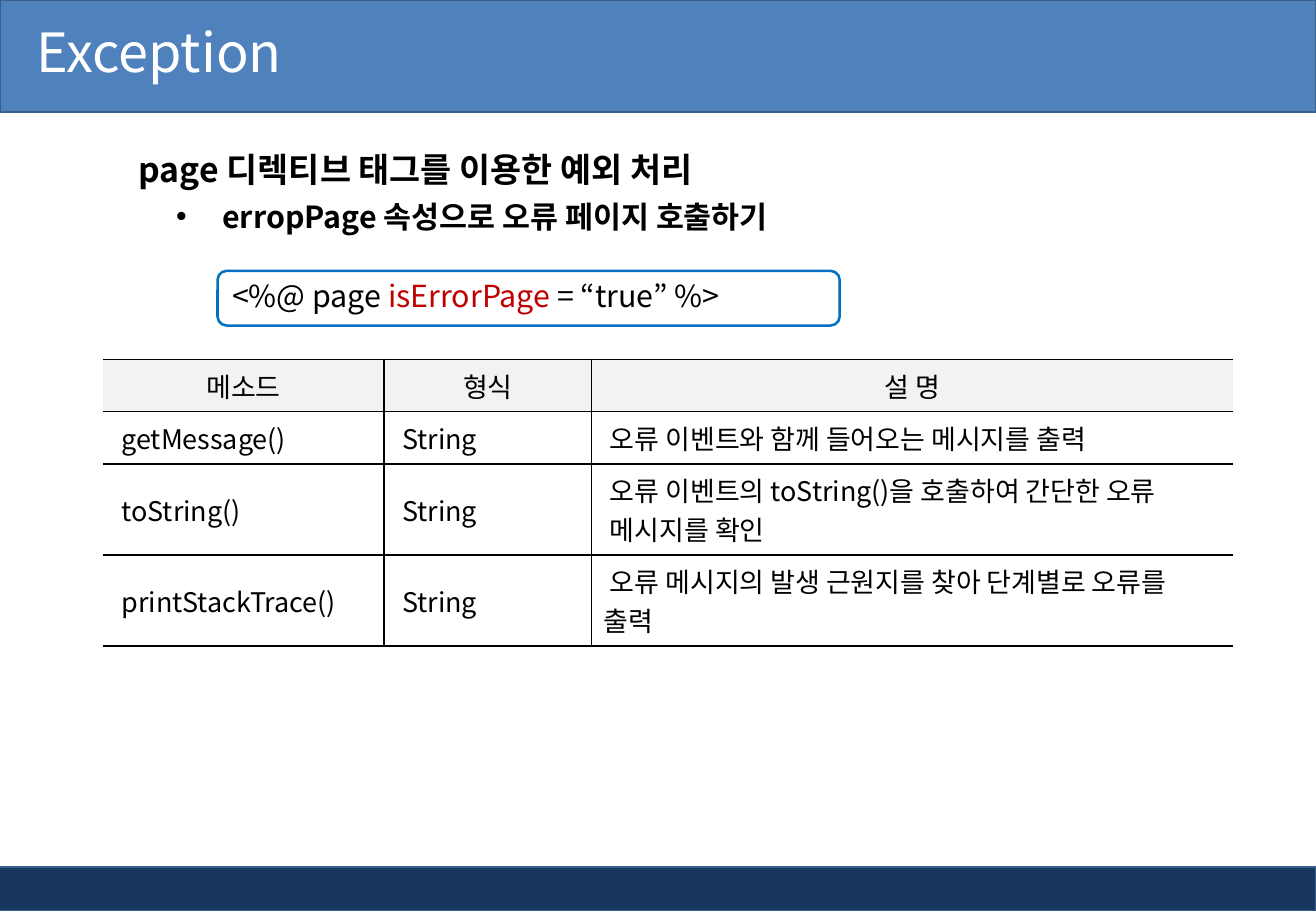
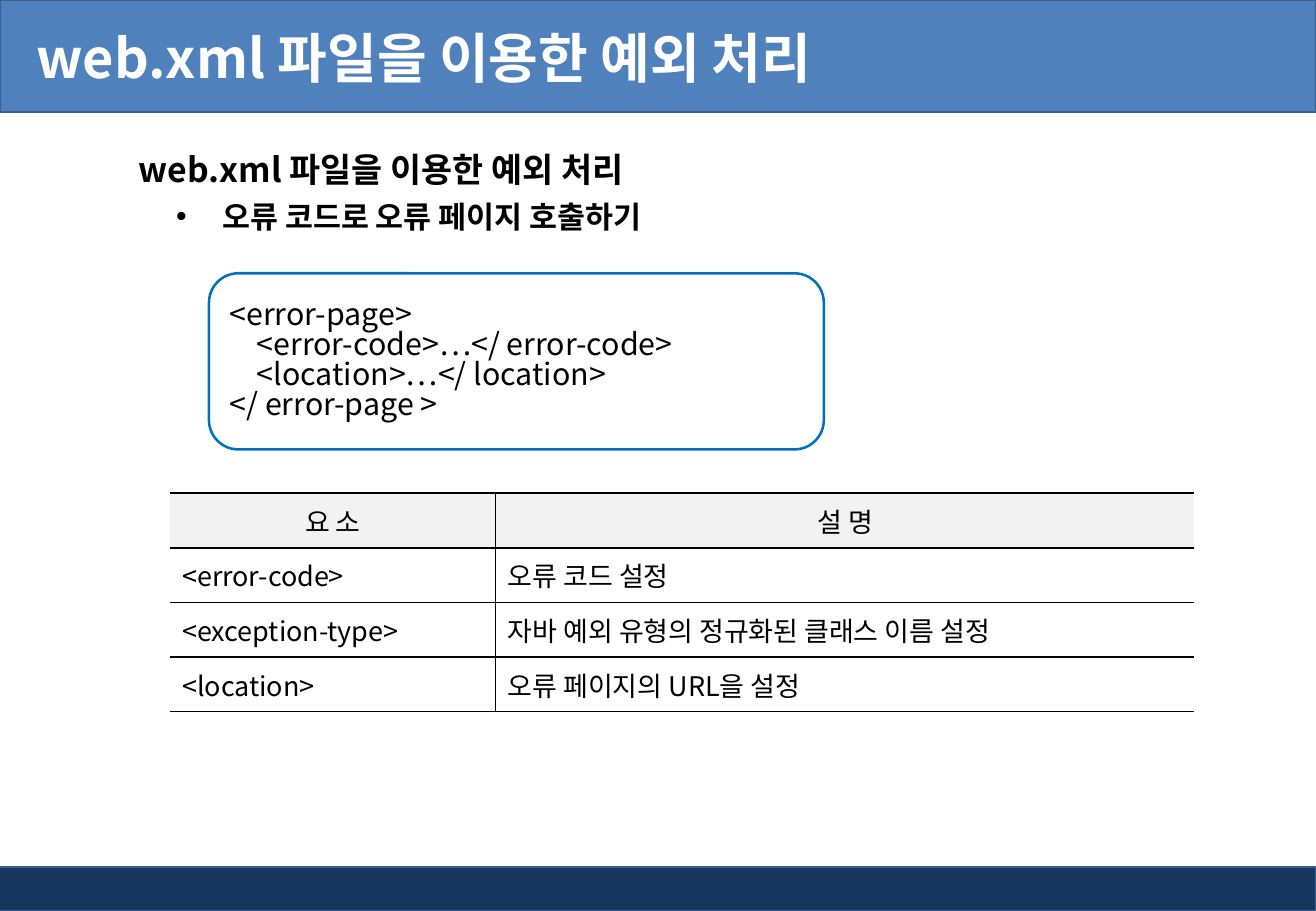
from dataclasses import dataclass
from typing import Optional

from lxml.etree import SubElement
from pptx import Presentation
from pptx.dml.color import RGBColor as Rgb
from pptx.enum.shapes import MSO_SHAPE as Preset
from pptx.enum.text import MSO_ANCHOR as Anchor, MSO_AUTO_SIZE as AutoSize, PP_ALIGN as Align
from pptx.oxml import parse_xml
from pptx.oxml.ns import nsdecls, qn
from pptx.util import Inches, Pt

WIDTH, HEIGHT = 10.83, 7.5


@dataclass(frozen=True)
class Theme:
    font: str = "Noto Sans CJK KR"
    ink: str = "000000"
    paper: str = "FFFFFF"
    accent: str = "C00000"
    header_band: str = "4F81BD"
    footer_band: str = "17375E"
    band_edge: str = "3A5F8C"
    code_edge: str = "0070C0"
    table_head: str = "F2F2F2"
    title_size: int = 32
    topic_size: int = 20
    point_size: int = 18
    cell_size: int = 16


THEME = Theme()


@dataclass(frozen=True)
class Box:
    left: float
    top: float
    width: float
    height: float

    def emu(self) -> tuple:
        return tuple(Inches(v) for v in (self.left, self.top, self.width, self.height))


@dataclass(frozen=True)
class Span:
    text: str
    color: str = THEME.ink


@dataclass(frozen=True)
class Grid:
    left: float
    top: float
    columns: tuple
    row_heights: tuple
    rows: tuple
    first_indent: float = 0


@dataclass(frozen=True)
class Lesson:
    title: str
    title_top: float
    title_bold: bool
    topic: str
    point: str
    code_box: Box
    code: tuple  # one tuple of spans for each line
    grid: Grid


LESSONS = (
    Lesson(
        title="Exception", title_top=-0.05, title_bold=False,
        topic="page 디렉티브 태그를 이용한 예외 처리",
        point="erropPage 속성으로 오류 페이지 호출하기",
        code_box=Box(1.79, 2.23, 5.12, 0.45),
        code=((Span("<%@ page "), Span("isErrorPage ", THEME.accent), Span("= “true” %>")),),
        grid=Grid(0.85, 2.96, (2.31, 1.71, 5.28), (0.43, 0.43, 0.75, 0.75), (
            ("메소드", "형식", "설 명"),
            ("getMessage()", "String", "오류 이벤트와 함께 들어오는 메시지를 출력"),
            ("toString()", "String",
             "오류 이벤트의 toString()을 호출하여 간단한 오류\n메시지를 확인"),
            ("printStackTrace()", "String",
             "오류 메시지의 발생 근원지를 찾아 단계별로 오류를 출력"),
        ), first_indent=0.05),
    ),
    Lesson(
        title="web.xml 파일을 이용한 예외 처리", title_top=0, title_bold=True,
        topic="web.xml 파일을 이용한 예외 처리",
        point="오류 코드로 오류 페이지 호출하기",
        code_box=Box(1.72, 2.25, 5.06, 1.45),
        code=((Span("<error-page>"),),
              (Span("    <error-code>…</ error-code>"),),
              (Span("    <location>…</ location>"),),
              (Span("</ error-page >"),)),
        grid=Grid(1.4, 4.06, (2.68, 5.75), (0.45,) * 4, (
            ("요 소", "설 명"),
            ("<error-code>", "오류 코드 설정"),
            ("<exception-type>", "자바 예외 유형의 정규화된 클래스 이름 설정"),
            ("<location>", "오류 페이지의 URL을 설정"),
        )),
    ),
)


def write(paragraph, *spans: Span, size: int, bold: bool = False, align=Align.LEFT,
          spacing: float = 1.0, margin: float = 0, indent: float = 0,
          bullet: Optional[str] = None) -> None:
    """Fill one paragraph with formatted runs."""
    props = paragraph._p.get_or_add_pPr()
    props.set("marL", str(Inches(margin)))
    props.set("indent", str(Inches(indent)))
    if bullet:
        SubElement(props, qn("a:buChar")).set("char", bullet)
    else:
        SubElement(props, qn("a:buNone"))
    paragraph.alignment = align
    paragraph.line_spacing = spacing
    paragraph.space_before = Pt(0)
    for span in spans:
        run = paragraph.add_run()
        run.text = span.text
        run.font.size = Pt(size)
        run.font.bold = bold
        run.font.name = THEME.font
        run.font.color.rgb = Rgb.from_string(span.color)
        SubElement(run._r.get_or_add_rPr(), qn("a:ea")).set("typeface", THEME.font)


def paragraphs(frame, count: int) -> list:
    return [frame.paragraphs[0]] + [frame.add_paragraph() for _ in range(count - 1)]


def add_panel(slide, preset, box: Box, fill: str, edge: str, weight: float):
    panel = slide.shapes.add_shape(preset, *box.emu())
    panel.shadow.inherit = False
    panel.fill.solid()
    panel.fill.fore_color.rgb = Rgb.from_string(fill)
    panel.line.color.rgb = Rgb.from_string(edge)
    panel.line.width = Pt(weight)
    return panel


def add_bands(slide) -> None:
    """Place the header and footer bands on the layout shared by all slides."""
    layout_tree = slide.slide_layout.shapes.element
    bands = ((Box(-0.04, 7.14, WIDTH + 0.04, 0.36), THEME.footer_band),
             (Box(0, 0, WIDTH, 0.92), THEME.header_band))
    for position, (box, fill) in enumerate(bands, start=2):
        band = add_panel(slide, Preset.RECTANGLE, box, fill, THEME.band_edge, 1)
        layout_tree.insert(position, band.element)


def place(holder, box: Box, anchor):
    holder.left, holder.top, holder.width, holder.height = box.emu()
    frame = holder.text_frame
    frame.word_wrap = True
    frame.auto_size = AutoSize.NONE
    frame.vertical_anchor = anchor
    return frame


def add_headings(slide, lesson: Lesson) -> None:
    title = place(slide.shapes.title, Box(0, lesson.title_top, 8.74, 0.94), Anchor.MIDDLE)
    write(title.paragraphs[0], Span(lesson.title, THEME.paper), size=THEME.title_size,
          bold=lesson.title_bold, margin=0.2)
    body = place(slide.placeholders[1], Box(0.85, 1.09, 9.76, 1.06), Anchor.TOP)
    topic, point = paragraphs(body, 2)
    write(topic, Span(lesson.topic), size=THEME.topic_size, bold=True, spacing=1.25, margin=0.19)
    point.level = 1
    write(point, Span(lesson.point), size=THEME.point_size, bold=True, spacing=1.25,
          margin=0.88, indent=-0.38, bullet="•")


def add_code(slide, lesson: Lesson) -> None:
    panel = add_panel(slide, Preset.ROUNDED_RECTANGLE, lesson.code_box,
                      THEME.paper, THEME.code_edge, 1.5)
    frame = panel.text_frame
    frame.word_wrap = True
    frame.vertical_anchor = Anchor.MIDDLE
    for paragraph, line in zip(paragraphs(frame, len(lesson.code)), lesson.code):
        write(paragraph, *line, size=THEME.point_size, spacing=0.83)


def set_borders(cell, left: bool, right: bool) -> None:
    """Rule a cell above and below, and at the sides where asked."""
    props = cell._tc.get_or_add_tcPr()
    sides = (("L", left), ("R", right), ("T", True), ("B", True))
    for position, (side, ruled) in enumerate(sides):
        paint = (f'<a:solidFill><a:srgbClr val="{THEME.ink}"/></a:solidFill>'
                 if ruled else "<a:noFill/>")
        props.insert(position, parse_xml(
            f'<a:ln{side} {nsdecls("a")} w="{Pt(1)}">{paint}</a:ln{side}>'))


def add_grid(slide, grid: Grid) -> None:
    box = Box(grid.left, grid.top, sum(grid.columns), sum(grid.row_heights))
    table = slide.shapes.add_table(len(grid.rows), len(grid.columns), *box.emu()).table
    table.first_row = table.horz_banding = False
    for column, width in zip(table.columns, grid.columns):
        column.width = Inches(width)
    for row, height in zip(table.rows, grid.row_heights):
        row.height = Inches(height)
    last = len(grid.columns) - 1
    for r, entries in enumerate(grid.rows):
        head = r == 0
        for c, entry in enumerate(entries):
            cell = table.cell(r, c)
            cell.vertical_anchor = Anchor.MIDDLE
            if head:
                cell.fill.solid()
                cell.fill.fore_color.rgb = Rgb.from_string(THEME.table_head)
            else:
                cell.fill.background()
            set_borders(cell, left=c > 0, right=c < last)
            lines = entry.split("\n")
            for paragraph, line in zip(paragraphs(cell.text_frame, len(lines)), lines):
                write(paragraph, Span(line), size=THEME.cell_size,
                      align=Align.CENTER if head else Align.LEFT,
                      indent=0 if head else grid.first_indent)


def main() -> None:
    deck = Presentation()
    deck.slide_width, deck.slide_height = Inches(WIDTH), Inches(HEIGHT)
    layout = deck.slide_layouts[1]
    for number, lesson in enumerate(LESSONS):
        slide = deck.slides.add_slide(layout)
        if number == 0:
            add_bands(slide)
        add_headings(slide, lesson)
        add_code(slide, lesson)
        add_grid(slide, lesson.grid)
    deck.save("out.pptx")


if __name__ == "__main__":
    main()
